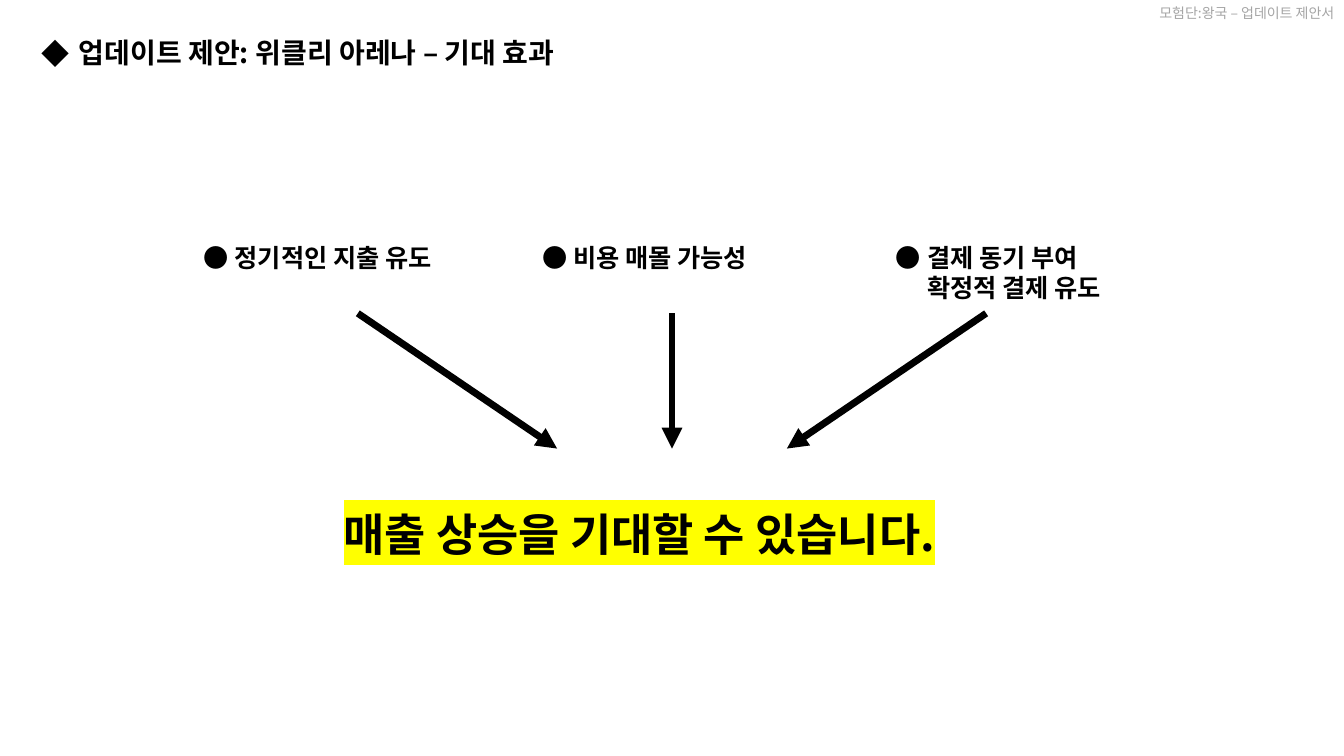
from dataclasses import dataclass
from typing import Optional

import pptx
import pptx.dml.color
import pptx.enum.shapes
import pptx.enum.text
import pptx.oxml.ns
import pptx.slide
import pptx.util
from lxml import etree

BLACK = pptx.dml.color.RGBColor(0x00, 0x00, 0x00)
GREY = pptx.dml.color.RGBColor(0xA5, 0xA5, 0xA5)
YELLOW = pptx.dml.color.RGBColor(0xFF, 0xFF, 0x00)
FONT = "Noto Sans CJK KR"
HANGING = pptx.util.Inches(0.31)

# Grid of 160 columns by 90 rows
COLUMNS, ROWS = 160, 90
SLIDE_WIDTH = pptx.util.Inches(13.33)
SLIDE_HEIGHT = pptx.util.Inches(7.5)
CENTRE = COLUMNS / 2


@dataclass(frozen=True)
class Caption:
    text: str
    column: float
    row: float
    columns: float
    rows: float
    size: int
    bold: bool = True
    colour: pptx.dml.color.RGBColor = BLACK
    bullet: Optional[str] = None
    line_spacing: Optional[float] = None
    align: Optional[pptx.enum.text.PP_ALIGN] = None
    highlight: Optional[pptx.dml.color.RGBColor] = None


def benefit(text: str, column: float, rows: float = 4.8) -> Caption:
    return Caption(text, column, 28.2, 33.36, rows, 18, bullet="●")


CAPTIONS = [
    # Running header and title
    Caption("모험단:왕국 – 업데이트 제안서", 45.72, 0, 114.28, 3.24, 10, bold=False,
            colour=GREY, align=pptx.enum.text.PP_ALIGN.RIGHT),
    Caption(" 업데이트 제안: 위클리 아레나 – 기대 효과", 3.72, 1.68, 122.28, 6.48, 20,
            bullet="◆", line_spacing=1.5),
    # Benefits
    benefit("정기적인 지출 유도", 23.04),
    benefit("비용 매몰 가능성", 63.36),
    benefit("결제 동기 부여\v확정적 결제 유도", 105.48, rows=8.52),
    # Conclusion
    Caption("매출 상승을 기대할 수 있습니다.", 39.72, 59.76, 80.52, 7.68, 32,
            highlight=YELLOW),
]

# Arrows lean in from both sides towards the centre
ARROW_SIDES = (-1, 0, 1)
ARROW_START_OFFSET, ARROW_END_OFFSET = 37.4, 13.68
ARROW_TOP, ARROW_BOTTOM = 37.3, 53.4


def across(columns: float) -> pptx.util.Emu:
    return pptx.util.Emu(round(SLIDE_WIDTH * columns / COLUMNS))


def down(rows: float) -> pptx.util.Emu:
    return pptx.util.Emu(round(SLIDE_HEIGHT * rows / ROWS))


def add_child(parent: etree.ElementBase, tag: str, **attributes: str) -> etree.ElementBase:
    return etree.SubElement(parent, pptx.oxml.ns.qn(tag), attributes)


def draw_caption(slide: pptx.slide.Slide, caption: Caption) -> None:
    box = slide.shapes.add_textbox(across(caption.column), down(caption.row),
                                   across(caption.columns), down(caption.rows))
    frame = box.text_frame
    frame.word_wrap = True
    frame.auto_size = pptx.enum.text.MSO_AUTO_SIZE.SHAPE_TO_FIT_TEXT
    paragraph = frame.paragraphs[0]
    paragraph.text = caption.text
    paragraph.alignment = caption.align
    paragraph.line_spacing = caption.line_spacing

    properties = paragraph._p.get_or_add_pPr()
    if caption.bullet:
        properties.set("marL", str(HANGING))
        properties.set("indent", str(-HANGING))
        add_child(properties, "a:buFont", typeface=FONT)
        add_child(properties, "a:buChar", char=caption.bullet)

    font = paragraph.font
    font.size = pptx.util.Pt(caption.size)
    font.bold = caption.bold
    font.name = FONT
    font.color.rgb = caption.colour
    add_child(properties.find(pptx.oxml.ns.qn("a:defRPr")), "a:ea", typeface=FONT)

    if caption.highlight:
        marker = add_child(paragraph.runs[0]._r.get_or_add_rPr(), "a:highlight")
        add_child(marker, "a:srgbClr", val=str(caption.highlight))


def draw_arrow(slide: pptx.slide.Slide, side: int) -> None:
    arrow = slide.shapes.add_connector(
        pptx.enum.shapes.MSO_CONNECTOR.STRAIGHT,
        across(CENTRE + side * ARROW_START_OFFSET), down(ARROW_TOP),
        across(CENTRE + side * ARROW_END_OFFSET), down(ARROW_BOTTOM))
    arrow.line.color.rgb = BLACK
    arrow.line.width = pptx.util.Pt(5)
    add_child(arrow.line._get_or_add_ln(), "a:tailEnd", type="triangle")
    add_child(arrow._element.spPr, "a:effectLst")


def main() -> None:
    presentation = pptx.Presentation()
    presentation.slide_width = SLIDE_WIDTH
    presentation.slide_height = SLIDE_HEIGHT
    slide = presentation.slides.add_slide(presentation.slide_layouts[6])
    for caption in CAPTIONS:
        draw_caption(slide, caption)
    for side in ARROW_SIDES:
        draw_arrow(slide, side)
    presentation.save("out.pptx")


if __name__ == "__main__":
    main()
